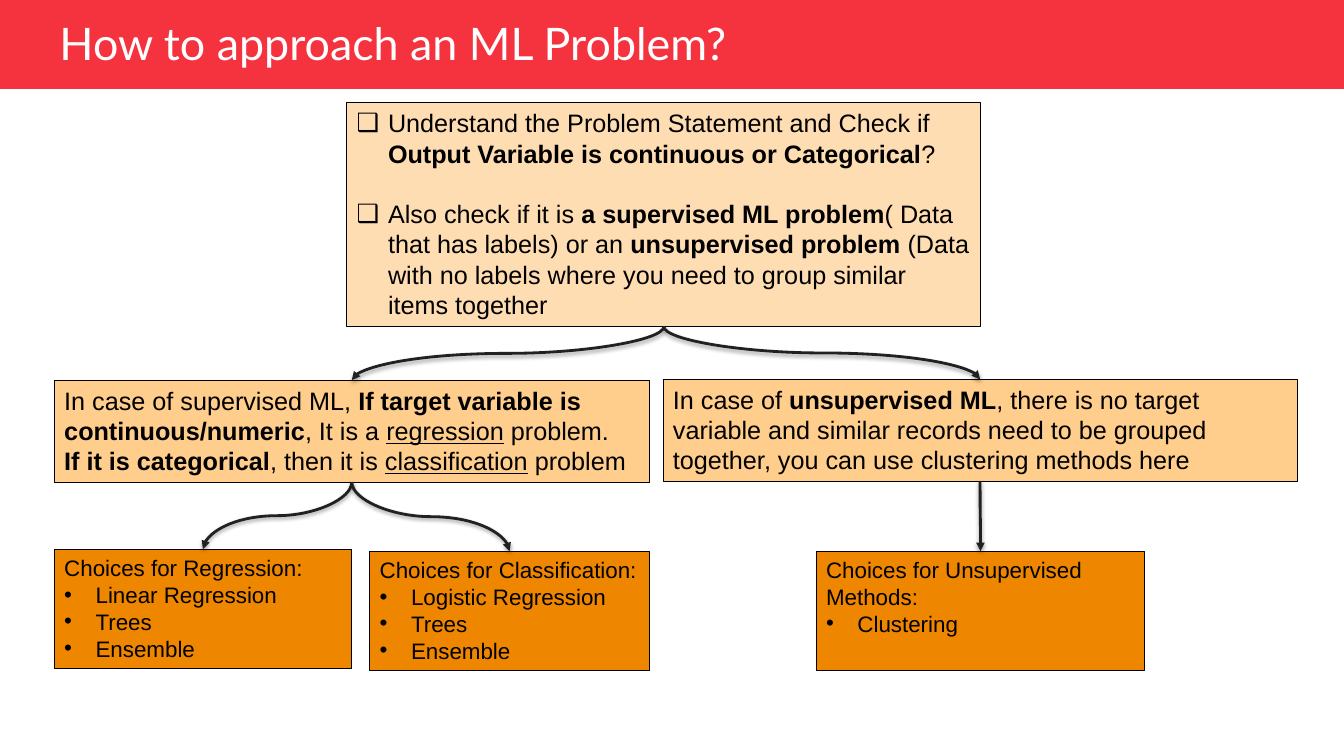
from dataclasses import dataclass

from lxml import etree
from pptx import Presentation
from pptx import util as u
from pptx.dml.color import RGBColor
from pptx.enum import shapes, text
from pptx.oxml import ns


@dataclass(frozen=True)
class Theme:
    """Colours, fonts and type sizes."""
    band: str = "F5333F"
    white: str = "FFFFFF"
    ink: str = "000000"
    arrow: str = "212121"
    top: str = "FFDDB3"
    mid: str = "FFCD8C"
    low: str = "EF8600"
    head: str = "Lato"
    body: str = "Arial"
    title: int = 32
    large: int = 18
    small: int = 16


T = Theme()
GOAL = [
    ("❑", [("Understand the Problem Statement and Check if ", ""),
           ("Output Variable is continuous or Categorical", "b"), ("?", "")]),
    ("❑", [("Also check if it is ", ""), ("a supervised ML problem", "b"),
           ("( Data that has labels) or an ", ""), ("unsupervised problem ", "b"),
           ("(Data with no labels where you need to group similar items together", "")]),
]
KNOWN = [
    ("", [("In case of supervised ML, ", ""),
          ("If target variable is continuous/numeric", "b"),
          (", It is a ", ""), ("regression", "u"), (" problem.", "")]),
    ("", [("If it is categorical", "b"), (", then it is ", ""),
          ("classification", "u"), (" problem", "")]),
]
OPEN = [
    ("", [("In case of ", ""), ("unsupervised ML", "b"),
          (", there is no target variable and similar records need to be grouped "
           "together, you can use clustering methods here", "")]),
]


def child(node, tag, **attrs):
    """Append a drawing element to a node."""
    return etree.SubElement(node, ns.qn("a:" + tag), attrs)


def paint(shape, fill, line=None):
    """Set the fill and outline of a shape."""
    shape.shadow.inherit = False
    shape.fill.solid()
    shape.fill.fore_color.rgb = RGBColor.from_string(fill)
    if line:
        shape.line.color.rgb = RGBColor.from_string(line)
        shape.line.width = u.Pt(0.75)
    else:
        shape.line.fill.background()


def write(para, runs, size, font, color):
    """Add styled runs to a paragraph."""
    for words, style in runs:
        run = para.add_run()
        run.text = words
        run.font.size = u.Pt(size)
        run.font.name = font
        run.font.color.rgb = RGBColor.from_string(color)
        run.font.bold = style == "b"
        run.font.underline = style == "u"


def header(slide, left, top, width, height):
    """Draw the title band."""
    band = slide.shapes.add_shape(shapes.MSO_SHAPE.RECTANGLE, left, top, width, height)
    paint(band, T.band)
    title = slide.shapes.add_textbox(left + u.Cm(1.17), top + u.Cm(0.46), u.Cm(25.2), u.Cm(1.42))
    frame = title.text_frame
    frame.word_wrap = True
    frame.vertical_anchor = text.MSO_ANCHOR.MIDDLE
    frame.margin_left = frame.margin_right = u.Cm(0.33)
    frame.margin_top = frame.margin_bottom = u.Cm(0.18)
    para = frame.paragraphs[0]
    para.line_spacing = 0.9
    write(para, [("How to approach an ML Problem?", "")], T.title, T.head, T.white)


def card(slide, box, fill, size, paras, gap=0):
    """Draw a filled box of paragraphs, with a gap between them."""
    shape = slide.shapes.add_shape(shapes.MSO_SHAPE.RECTANGLE, *map(u.Cm, box))
    paint(shape, fill, T.ink)
    frame = shape.text_frame
    frame.word_wrap = True
    frame.vertical_anchor = text.MSO_ANCHOR.TOP
    for i, (mark, runs) in enumerate(paras):
        para = frame.add_paragraph() if i else frame.paragraphs[0]
        para.alignment = text.PP_ALIGN.LEFT
        if i and gap:
            para.space_before = u.Pt(gap)
        if mark:
            props = para._p.get_or_add_pPr()
            props.set("marL", str(u.Cm(0.79)))
            props.set("indent", str(-u.Cm(0.79)))
            child(props, "buFont", typeface=T.body)
            child(props, "buChar", char=mark)
        write(para, runs, size, T.body, T.ink)
    return shape


def choices(slide, box, name, items):
    """Draw a box of methods to choose from."""
    paras = [("", [(f"Choices for {name}:", "")])]
    paras += [("•", [(item, "")]) for item in items]
    return card(slide, box, T.low, T.small, paras)


def arrow(slide, src, dst):
    """Curve an arrow from the foot of one box to the head of another."""
    x1, y1 = src.left + src.width // 2, src.top + src.height
    x2, y2 = dst.left + dst.width // 2, dst.top
    wide, high = y2 - y1, abs(x2 - x1)
    left, top = (x1 + x2 - wide) // 2, (y1 + y2 - high) // 2
    right = x2 > x1
    ends = (left + wide, left) if right else (left, left + wide)
    link = slide.shapes.add_connector(
        shapes.MSO_CONNECTOR.CURVE, ends[0], top, ends[1], top + high)
    props = link._element.spPr
    props.find(ns.qn("a:xfrm")).set("rot", str((270 if right else 90) * 60000))
    link.line.color.rgb = RGBColor.from_string(T.arrow)
    link.line.width = u.Pt(2)
    child(link.line._get_or_add_ln(), "tailEnd", type="triangle")
    shade = child(child(props, "effectLst"), "outerShdw", blurRad=str(u.Pt(3.1)),
                  dist=str(u.Pt(1.6)), dir="5400000", rotWithShape="0")
    child(child(shade, "srgbClr", val=T.ink), "alpha", val="38000")


def chart(slide):
    """Draw the decision tree."""
    goal = card(slide, (8.74, 2.59, 15.98, 5.64), T.top, T.large, GOAL, 21.6)
    known = card(slide, (1.37, 9.58, 14.99, 2.57), T.mid, T.large, KNOWN)
    free = card(slide, (16.71, 9.56, 15.98, 2.57), T.mid, T.large, OPEN)
    regress = choices(slide, (1.37, 13.84, 7.49, 3), "Regression",
                      ["Linear Regression", "Trees", "Ensemble"])
    classes = choices(slide, (9.32, 13.89, 7.04, 3), "Classification",
                      ["Logistic Regression", "Trees", "Ensemble"])
    groups = choices(slide, (20.57, 13.89, 8.28, 3), "Unsupervised Methods", ["Clustering"])
    for src, dst in [(goal, known), (goal, free), (known, regress),
                     (known, classes), (free, groups)]:
        arrow(slide, src, dst)


def main():
    """Build and save the slide."""
    deck = Presentation()
    deck.slide_width, deck.slide_height = u.Cm(33.87), u.Cm(19.05)
    slide = deck.slides.add_slide(deck.slide_layouts[6])
    header(slide, 0, 0, deck.slide_width, u.Cm(2.24))
    chart(slide)
    deck.save("out.pptx")


if __name__ == "__main__":
    main()
